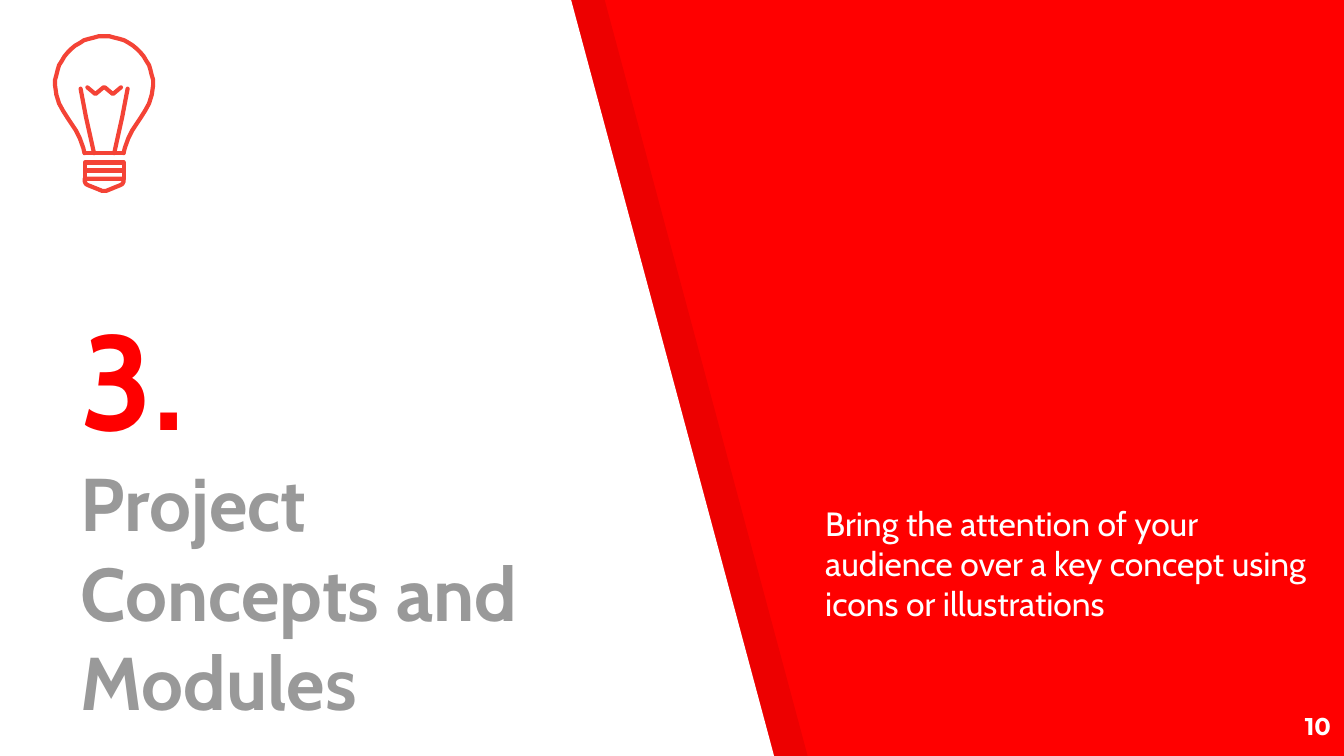
import dataclasses
import math

import lxml.etree
import pptx
import pptx.dml.color
import pptx.enum.text
import pptx.oxml.ns
import pptx.util

PX = 4572
W, H = 2000, 1125
INSET = 20
MSO_ANCHOR = pptx.enum.text.MSO_ANCHOR
PP_ALIGN = pptx.enum.text.PP_ALIGN


@dataclasses.dataclass(frozen=True)
class Theme:
    accent: str = "FF0000"
    paper: str = "FFFFFF"
    shade: str = "000000"
    shade_alpha: int = 7
    heading: str = "999999"
    icon: str = "F44336"
    icon_line: float = 2.25
    font: str = "Cabin"
    number_font: str = "Montserrat"
    section_size: int = 72
    title_size: int = 40
    body_size: int = 18
    number_size: int = 13


THEME = Theme()


def rgb(value):
    return pptx.dml.color.RGBColor.from_string(value)


def place(sp, box):
    sp.left, sp.top, sp.width, sp.height = (v * PX for v in box)


def set_text(sp, lines, anchor=MSO_ANCHOR.TOP, align=PP_ALIGN.LEFT):
    tf = sp.text_frame
    tf.word_wrap = True
    tf.auto_size = pptx.enum.text.MSO_AUTO_SIZE.NONE
    tf.vertical_anchor = anchor
    tf.margin_left = tf.margin_top = tf.margin_right = tf.margin_bottom = INSET * PX
    for i, (text, font, size, color, bold) in enumerate(lines):
        p = tf.add_paragraph() if i else tf.paragraphs[0]
        p.text = text
        p.alignment = align
        p.space_before = pptx.util.Pt(0)
        p.font.name = font
        p.font.size = pptx.util.Pt(size)
        p.font.bold = bold
        p.font.color.rgb = rgb(color)


def outline(shapes, x, y, points, close):
    fb = shapes.build_freeform(*points[0], scale=PX)
    fb.add_line_segments(points[1:], close=close)
    sp = fb.convert_to_shape(x * PX, y * PX)
    sp.shadow.inherit = False
    return sp


def add_slab(s, box, color, alpha=100):
    x, y, w, h = box
    points = [(0, 0), (0, h), (w, h), (w - 302, 0)]
    sp = outline(s.shapes, x, y, points, True)
    sp.fill.solid()
    sp.fill.fore_color.rgb = rgb(color)
    sp.line.fill.background()
    if alpha < 100:
        clr = sp.fill._xPr.find(".//" + pptx.oxml.ns.qn("a:srgbClr"))
        lxml.etree.SubElement(clr, pptx.oxml.ns.qn("a:alpha"), val=str(alpha * 1000))


def add_bulb(s, box):
    x, y, w, _ = box
    r = w // 2

    def mirror(points):
        return [(w - px, py) for px, py in reversed(points)]

    neck = [(102, 174), (104, 166), (109, 152), (115, 140), (127, 122),
            (134, 111), (140, 100), (144, 87)]
    dome = [(round(r + r * math.cos(math.radians(a))),
             round(r - r * math.sin(math.radians(a)))) for a in range(0, 181, 6)]
    filament = [(58, 174), (46, 120), (38, 78)]
    coil = [(48, 76), (60, 86), (72, 76)]
    tip = [(44, 212), (44, 216), (46, 220), (50, 222), (70, 230)]
    bands = [[(44, top), (102, top), (102, top + 12), (44, top + 12)]
             for top in (188, 200)]
    opened = [neck + dome + mirror(neck), filament, mirror(filament),
              coil + mirror(coil), [(44, 174), (102, 174)]]
    closed = bands + [tip + mirror(tip)]

    shapes = s.shapes.add_group_shape().shapes
    for paths, close in ((closed, True), (opened, False)):
        for points in paths:
            sp = outline(shapes, x, y, points, close)
            sp.fill.background()
            sp.line.color.rgb = rgb(THEME.icon)
            sp.line.width = pptx.util.Pt(THEME.icon_line)
            ln = sp.line._get_or_add_ln()
            ln.set("cap", "rnd")
            lxml.etree.SubElement(ln, pptx.oxml.ns.qn("a:round"))


def add_title(s, box):
    sp = s.shapes.title
    place(sp, box)
    set_text(sp, [
        ("3.", THEME.font, THEME.section_size, THEME.accent, True),
        ("Project Concepts and Modules", THEME.font, THEME.title_size,
         THEME.heading, True),
    ], anchor=MSO_ANCHOR.BOTTOM)


def add_subtitle(s, box):
    sp = s.placeholders[1]
    place(sp, box)
    text = ("Bring the attention of your audience over a key concept "
            "using icons or illustrations")
    set_text(sp, [(text, THEME.font, THEME.body_size, THEME.paper, False)])


def add_number(s, box):
    sp = s.shapes.add_textbox(*(v * PX for v in box))
    set_text(sp, [("10", THEME.number_font, THEME.number_size, THEME.paper, True)],
             align=PP_ALIGN.RIGHT)


def add_section_slide(prs):
    s = prs.slides.add_slide(prs.slide_layouts[0])
    s.background.fill.solid()
    s.background.fill.fore_color.rgb = rgb(THEME.accent)
    add_slab(s, (50, 0, 1152, H), THEME.shade, THEME.shade_alpha)
    add_slab(s, (0, 0, 1152, H), THEME.paper)
    for sp in (s.shapes.title, s.placeholders[1]):
        s.shapes._spTree.append(sp._element)
    add_title(s, (100, 440, 772, 660))
    add_number(s, (1880, 1038, 120, 86))
    add_subtitle(s, (1208, 728, 792, 284))
    add_bulb(s, (82, 54, 146, 230))


def main():
    prs = pptx.Presentation()
    prs.slide_width, prs.slide_height = W * PX, H * PX
    add_section_slide(prs)
    prs.save("out.pptx")


if __name__ == "__main__":
    main()
